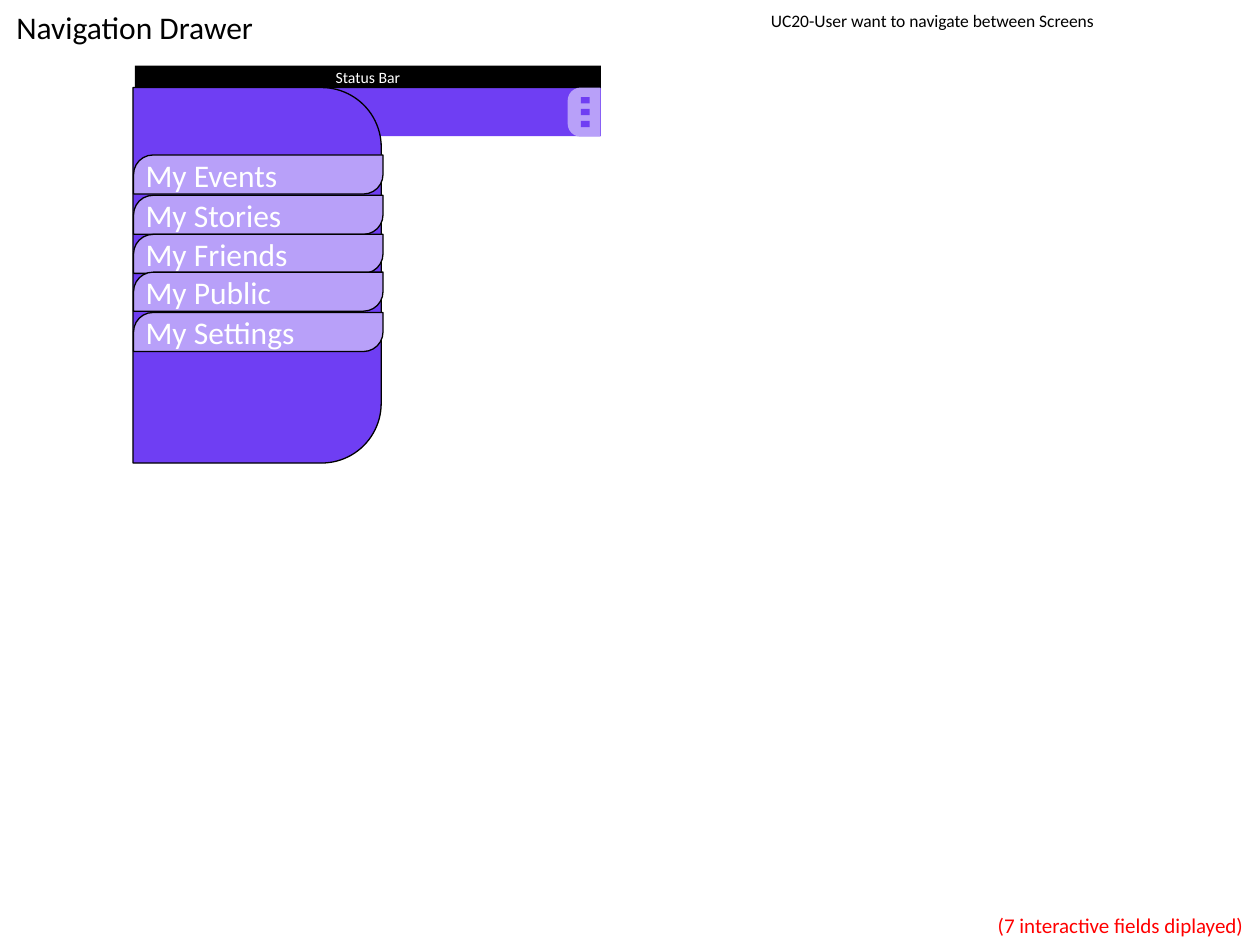
from dataclasses import dataclass
from typing import Optional

from pptx import Presentation
from pptx.dml.color import RGBColor
from pptx.enum.shapes import MSO_SHAPE
from pptx.enum.text import MSO_ANCHOR, MSO_AUTO_SIZE, PP_ALIGN
from pptx.util import Inches, Pt

COLORS = {
    "black": "000000",
    "white": "FFFFFF",
    "red": "FF0000",
    "violet": "6F3EF3",
    "lilac": "B8A0F9",
}


@dataclass
class Label:
    text: str
    size: float
    color: str = "white"
    align: PP_ALIGN = PP_ALIGN.LEFT


@dataclass
class Block:
    left: float
    top: float
    width: float
    height: float
    fill: str
    preset: MSO_SHAPE = MSO_SHAPE.RECTANGLE
    corners: tuple[float, ...] = ()
    rotation: float = 0
    outlined: bool = False
    label: Optional[Label] = None


@dataclass
class MenuItem:
    name: str
    top: float


MENU = [
    MenuItem("My Events", 1.23),
    MenuItem("My Stories", 1.55),
    MenuItem("My Friends", 1.86),
    MenuItem("My Public", 2.16),
    MenuItem("My Settings", 2.48),
]
CAPTION_FORMAT = {
    "vertical_anchor": MSO_ANCHOR.TOP,
    "auto_size": MSO_AUTO_SIZE.SHAPE_TO_FIT_TEXT,
    "word_wrap": False,
}
BLOCK_FORMAT = {
    "vertical_anchor": MSO_ANCHOR.MIDDLE,
    "word_wrap": True,
    "margin_left": Inches(0.05),
    "margin_right": Inches(0.05),
    "margin_top": 0,
    "margin_bottom": 0,
}


def rgb(color: str) -> RGBColor:
    return RGBColor.from_string(COLORS[color])


def write(frame, label: Label, frame_format: dict) -> None:
    for attribute, value in frame_format.items():
        setattr(frame, attribute, value)
    paragraph = frame.paragraphs[0]
    paragraph.alignment = label.align
    run = paragraph.add_run()
    run.text = label.text
    for attribute, value in {"name": "Calibri", "size": Pt(label.size)}.items():
        setattr(run.font, attribute, value)
    run.font.color.rgb = rgb(label.color)


def draw(slide, block: Block) -> None:
    shape = slide.shapes.add_shape(
        block.preset, Inches(block.left), Inches(block.top),
        Inches(block.width), Inches(block.height))
    shape.shadow.inherit = False
    shape.rotation = block.rotation
    for index, corner in enumerate(block.corners):
        shape.adjustments[index] = corner
    shape.fill.solid()
    shape.fill.fore_color.rgb = rgb(block.fill)
    if block.outlined:
        shape.line.color.rgb = rgb("black")
        shape.line.width = Pt(0.75)
    else:
        shape.line.fill.background()
    if block.label:
        write(shape.text_frame, block.label, BLOCK_FORMAT)


def caption(slide, left: float, top: float, width: float, height: float,
            label: Label) -> None:
    note = slide.shapes.add_textbox(
        Inches(left), Inches(top), Inches(width), Inches(height))
    write(note.text_frame, label, CAPTION_FORMAT)


def main() -> None:
    deck = Presentation()
    deck.slide_width, deck.slide_height = Inches(10), Inches(7.5)
    slide = deck.slides.add_slide(deck.slide_layouts[5])

    title = slide.shapes.title
    for attribute, value in {"left": 0.03, "top": 0.01,
                             "width": 2.1, "height": 0.4}.items():
        setattr(title, attribute, Inches(value))
    write(title.text_frame, Label("Navigation Drawer", 18, "black"), CAPTION_FORMAT)
    caption(slide, 6.02, 0.03, 2.78, 0.27,
            Label("UC20-User want to navigate between Screens", 10, "black"))

    draw(slide, Block(1.07, 0.69, 3.7, 0.39, "violet"))
    draw(slide, Block(1.07, 0.52, 3.7, 0.18, "black",
                      label=Label("Status Bar", 9, align=PP_ALIGN.CENTER)))
    draw(slide, Block(0.55, 1.2, 2.98, 1.97, "violet",
                      MSO_SHAPE.ROUND_2_SAME_RECTANGLE, (0.24, 0), 90, True))
    caption(slide, 7.82, 7.19, 2.16, 0.3,
            Label("(7 interactive fields diplayed)", 12, "red"))

    for item in MENU:
        draw(slide, Block(1.06, item.top, 1.98, 0.31, "lilac",
                          MSO_SHAPE.ROUND_2_DIAG_RECTANGLE, (0.5, 0),
                          outlined=True, label=Label(item.name, 18)))

    draw(slide, Block(4.44, 0.76, 0.39, 0.26, "lilac",
                      MSO_SHAPE.ROUND_2_SAME_RECTANGLE, (0, 0.4), 90))
    for dot in range(3):
        draw(slide, Block(4.61, 0.77 + 0.095 * dot, 0.07, 0.05, "violet"))

    deck.save("out.pptx")


if __name__ == "__main__":
    main()
